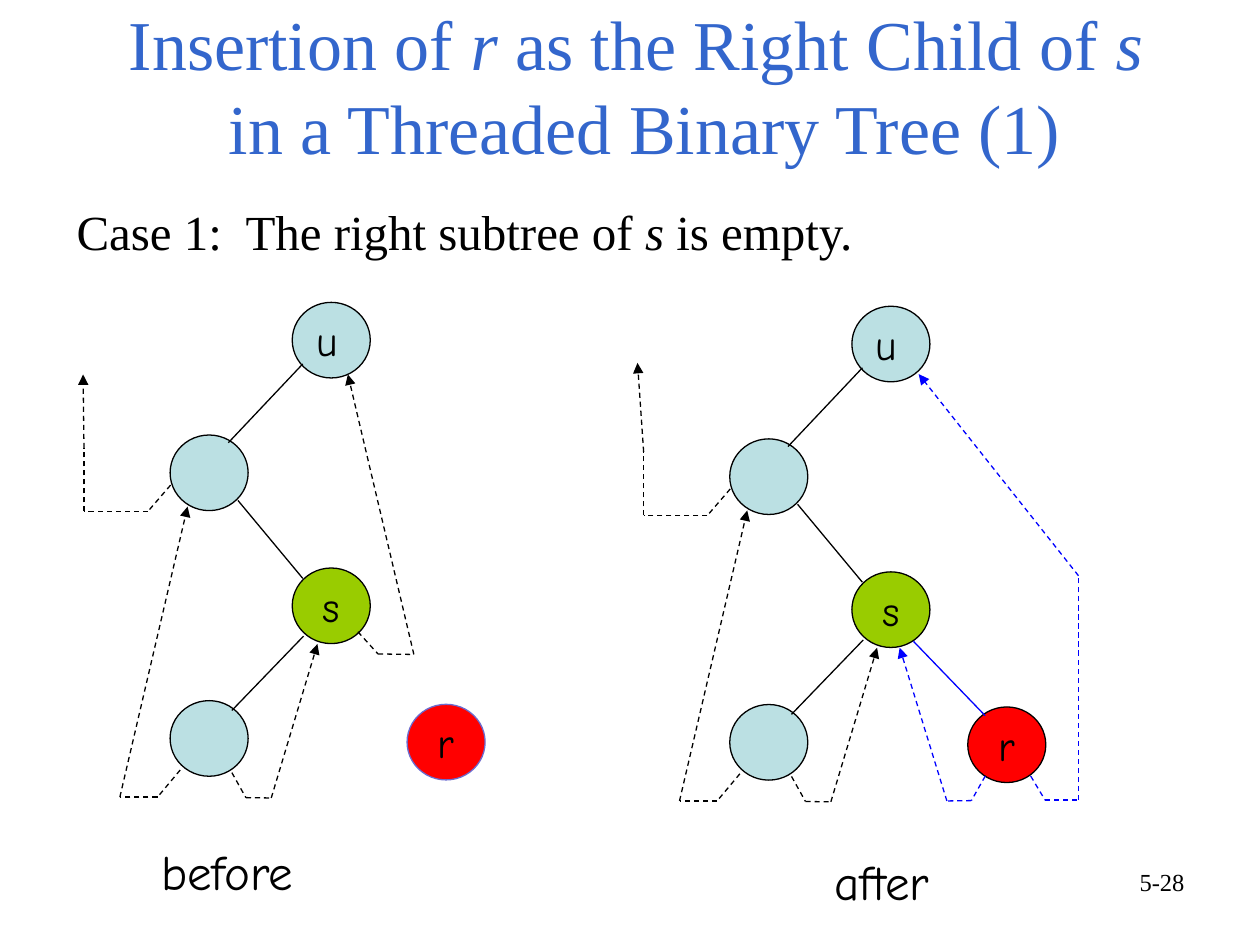
"""Build a slide on inserting a right child into a threaded binary tree."""
from lxml import etree
from pptx import Presentation
from pptx import util as u
from pptx.dml.color import RGBColor
from pptx.enum import dml, shapes, text
from pptx.oxml.ns import qn

COLORS = {"title": "3366CC", "black": "000000", "node": "BBE0E3", "parent": "99CC00",
          "new": "FF0000", "outline": "6B6BCF", "added": "0000FF"}
SERIF, COMIC = "Times New Roman", "Comic Neue"
LEFT, CENTER, RIGHT = text.PP_ALIGN.LEFT, text.PP_ALIGN.CENTER, text.PP_ALIGN.RIGHT
NODE_SIZE = (44.6, 43.2)

TITLE = "Insertion of *r* as the Right Child of *s *\nin a Threaded Binary Tree (1)"
TEXT_BOXES = [
    ("before", (85, 477.4, 126.7, 41), {"size": 28, "font": COMIC}),
    ("after", (469.5, 483.1, 109.4, 41), {"size": 28, "font": COMIC}),
    ("Case 1:  The right subtree of *s* is empty.", (36.7, 111.6, 465.8, 41), {"size": 28}),
    ("5-28", (516.2, 491.8, 167.8, 37.4), {"size": 14, "align": RIGHT}),
]
TREE_NODES = [("u", 167, 172.8, "node", LEFT), ("", 97.2, 248.6, "node", CENTER),
              ("s", 167, 324.6, "parent", CENTER), ("", 97.2, 400.4, "node", CENTER)]
TREE_LINKS = [[(173, 208), (130.5, 253)], [(136, 286), (173, 330.5)],
              [(173.5, 363.5), (132.5, 406)]]
TREE_THREADS = [
    [(103, 440), (90, 455.5), (68.5, 455.5), (107.2, 289.5)],
    [(132.5, 441.5), (140.5, 455.8), (155, 456), (181.4, 368)],
]
ROOT_THREAD = [(97.5, 277.2), (84.5, 292.3), (48, 292.3), (48, 256)]
TREES = [
    {"offset": (0, 0), "root_end": (47.5, 214), "new_node": (232.6, 402.5),
     "outline": "outline", "links": [], "color": "black",
     "threads": [[(204.5, 361), (216, 373.7), (236.5, 374), (198.8, 214)]]},
    {"offset": (319.8, 2.2), "root_end": (44.5, 205.2), "new_node": (233.2, 401.8),
     "outline": "black", "links": [[(202.2, 364.3), (243.2, 406.8)]], "color": "added",
     "threads": [
         [(243.2, 441.3), (235.3, 455.3), (221.3, 455.5), (194.3, 367.9)],
         [(269.2, 441.3), (277.4, 455), (296.5, 455), (296.5, 326.8), (205.2, 211.6)]]},
]


def rgb(name):
    """Return the named colour."""
    return RGBColor.from_string(COLORS[name])


def write(frame, content, *, size, font=SERIF, color="black", align=LEFT, spacing=None):
    """Fill a text frame, with asterisks around italic parts."""
    paragraph = frame.paragraphs[0]
    paragraph.alignment = align
    if spacing:
        paragraph.line_spacing = u.Pt(spacing)
    for line_number, line in enumerate(content.split("\n")):
        if line_number:
            paragraph.add_line_break()
        for position, part in enumerate(line.split("*")):
            if part:
                run = paragraph.add_run()
                run.text = part
                run.font.name, run.font.size = font, u.Pt(size)
                run.font.italic = position % 2 == 1
                run.font.color.rgb = rgb(color)


def add_node(slide, label, left, top, fill, align, outline="black"):
    """Add one tree node."""
    shape = slide.shapes.add_shape(shapes.MSO_SHAPE.OVAL,
                                   *map(u.Pt, (left, top, *NODE_SIZE)))
    shape.shadow.inherit = False
    shape.fill.solid()
    shape.fill.fore_color.rgb = rgb(fill)
    shape.line.color.rgb = rgb(outline)
    shape.line.width = u.Pt(0.75)
    frame = shape.text_frame
    frame.word_wrap = False
    frame.vertical_anchor = text.MSO_ANCHOR.MIDDLE
    if label:
        write(frame, label, size=24, font=COMIC, align=align)


def add_path(slide, points, offset, color="black", thread=False):
    """Join points by lines; a thread is dashed and ends in an arrowhead."""
    moved = [(x + offset[0], y + offset[1]) for x, y in points]
    for start, end in zip(moved, moved[1:]):
        connector = slide.shapes.add_connector(shapes.MSO_CONNECTOR.STRAIGHT,
                                               *map(u.Pt, (*start, *end)))
        connector.line.color.rgb = rgb(color)
        connector.line.width = u.Pt(0.75)
        if thread:
            connector.line.dash_style = dml.MSO_LINE.DASH
        properties = connector._element.spPr
        etree.SubElement(properties, qn("a:effectLst"))
    if thread:
        etree.SubElement(properties.find(qn("a:ln")), qn("a:tailEnd"), type="triangle")


def add_tree(slide, tree):
    """Add the shared tree and the parts of one state."""
    offset, color = tree["offset"], tree["color"]
    new_node = ("r", *tree["new_node"], "new", CENTER, tree["outline"])
    for label, left, top, *style in [*TREE_NODES, new_node]:
        add_node(slide, label, left + offset[0], top + offset[1], *style)
    for link in TREE_LINKS:
        add_path(slide, link, offset)
    for thread in [*TREE_THREADS, [*ROOT_THREAD, tree["root_end"]]]:
        add_path(slide, thread, offset, thread=True)
    for link in tree["links"]:
        add_path(slide, link, offset, color)
    for thread in tree["threads"]:
        add_path(slide, thread, offset, color, thread=True)


def main():
    """Build and save the slide."""
    presentation = Presentation()
    presentation.slide_width, presentation.slide_height = u.Pt(720), u.Pt(540)
    slide = presentation.slides.add_slide(presentation.slide_layouts[5])
    title = slide.shapes.title
    title.left, title.top, title.width, title.height = map(u.Pt, (54, 44.6, 628.6, 55.4))
    title.text_frame.auto_size = text.MSO_AUTO_SIZE.NONE
    title.text_frame.vertical_anchor = text.MSO_ANCHOR.BOTTOM
    write(title.text_frame, TITLE, size=40, color="title", align=CENTER, spacing=48)
    for tree in TREES:
        add_tree(slide, tree)
    for content, box, style in TEXT_BOXES:
        frame = slide.shapes.add_textbox(*map(u.Pt, box)).text_frame
        frame.word_wrap = True
        write(frame, content, **style)
    presentation.save("out.pptx")


if __name__ == "__main__":
    main()
